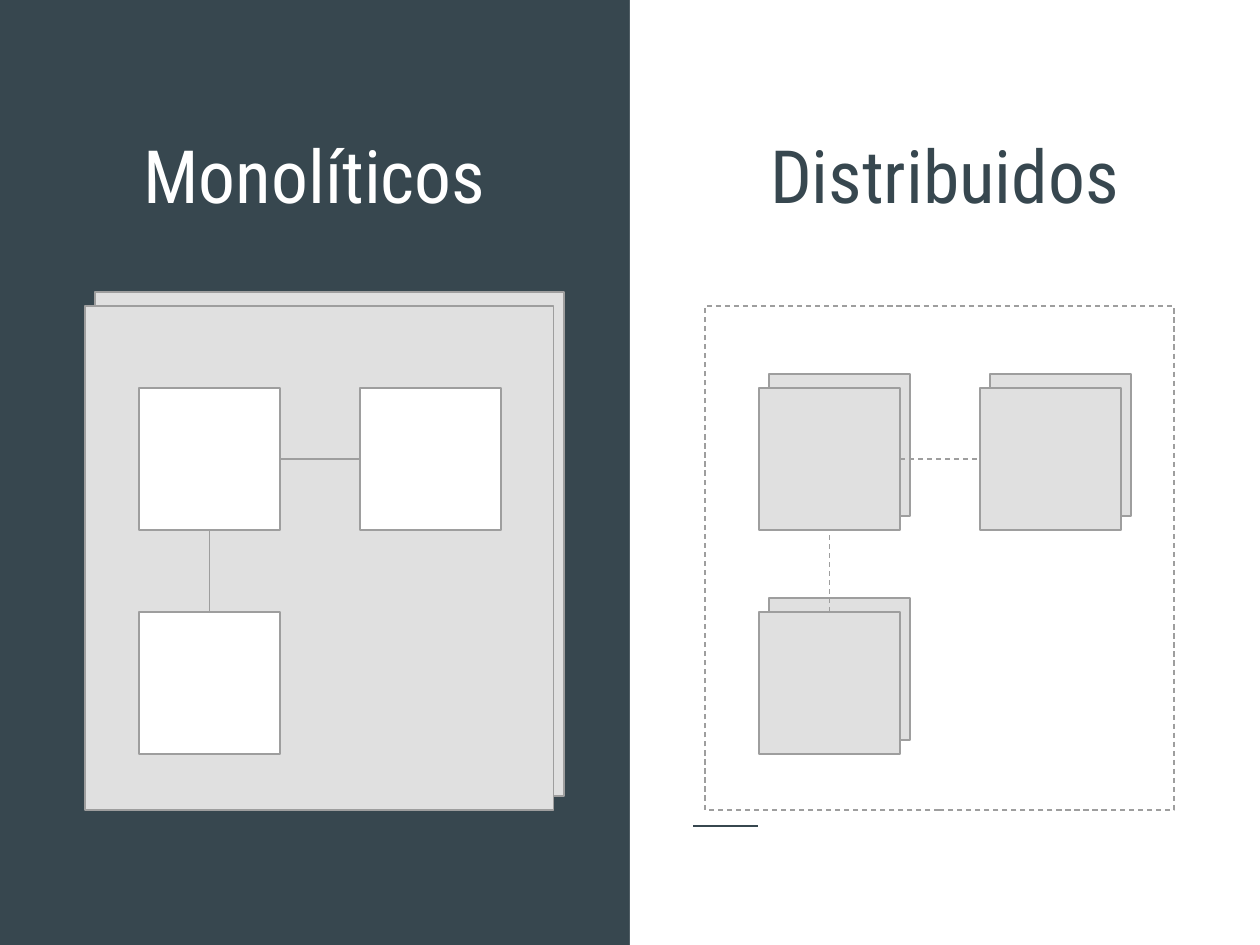
from dataclasses import dataclass

from lxml import etree
from pptx import Presentation
from pptx.dml.color import RGBColor
from pptx.enum.dml import MSO_LINE
from pptx.enum.shapes import MSO_CONNECTOR, MSO_SHAPE
from pptx.enum.text import MSO_ANCHOR, PP_ALIGN
from pptx.oxml.ns import qn
from pptx.util import Emu, Pt

RECT = MSO_SHAPE.RECTANGLE
LINE = MSO_CONNECTOR.STRAIGHT
DASH = MSO_LINE.DASH
TOP, LEFT, BOTTOM, RIGHT = range(4)


@dataclass(frozen=True)
class Theme:
    dark: RGBColor = RGBColor.from_string("37474F")
    white: RGBColor = RGBColor.from_string("FFFFFF")
    pale: RGBColor = RGBColor.from_string("E0E0E0")
    edge: RGBColor = RGBColor.from_string("9E9E9E")
    font: str = "Roboto Condensed"
    size: Pt = Pt(42)
    thin: Pt = Pt(0.75)
    thick: Pt = Pt(1.5)


theme = Theme()
SCALE = 914400 / 126  # EMU in one px


def emu(*px):
    return [Emu(round(n * SCALE)) for n in px]


def add_box(x, y, w, h, fill=None, dash=None):
    """Add a thinly outlined rectangle, hollow when no fill is given."""
    box = shapes.add_shape(RECT, *emu(x, y, w, h))
    box.shadow.inherit = False
    if fill is None:
        box.fill.background()
    else:
        box.fill.solid()
        box.fill.fore_color.rgb = fill
    box.line.color.rgb = theme.edge
    box.line.width = theme.thin
    box.line.dash_style = dash
    return box


deck = Presentation()
deck.slide_width, deck.slide_height = emu(1260, 945)
slide = deck.slides.add_slide(deck.slide_layouts.get_by_name("Comparison"))
shapes = slide.shapes
slide.background.fill.solid()
slide.background.fill.fore_color.rgb = theme.dark

# White right half, behind the headings
half = add_box(630, 0, 630, 945, theme.white)
half.line.fill.background()
shapes._spTree.insert(2, half._element)

# Headings
heads = {0: ("Monolíticos", 36, theme.white),
         1: ("Distribuidos", 666, theme.dark)}
for hold in list(slide.placeholders):
    key = hold.placeholder_format.idx
    if key not in heads:
        hold._element.getparent().remove(hold._element)
        continue
    text, x, color = heads[key]
    hold.left, hold.top, hold.width, hold.height = emu(x, 60, 557, 171)
    frame = hold.text_frame
    frame.text = text
    frame.vertical_anchor = MSO_ANCHOR.BOTTOM
    frame.margin_left, frame.margin_top = emu(13, 13)
    frame.margin_right, frame.margin_bottom = emu(13, 13)
    para = frame.paragraphs[0]
    para.alignment = PP_ALIGN.CENTER
    para.space_before = Pt(0)
    para.font.name = theme.font
    para.font.size = theme.size
    para.font.bold = False
    para.font.color.rgb = color

# Panels: the left one is doubled as a whole, the right one box by box
PANEL = 469, 504
BOX = 141, 142
SHIFT_X, SHIFT_Y = 10, -14
Y = 306
SPOTS = (54, 82), (275, 82), (54, 306)
wires = []
for x, split in ((85, False), (705, True)):
    if split:
        add_box(x, Y, *PANEL, dash=DASH)
    else:
        add_box(x + SHIFT_X, Y + SHIFT_Y, *PANEL, theme.pale)
        add_box(x, Y, *PANEL, theme.pale)
    boxes = []
    for dx, dy in SPOTS:
        if split:
            add_box(x + dx + SHIFT_X, Y + dy + SHIFT_Y, *BOX, theme.pale)
        fill = theme.pale if split else theme.white
        boxes.append(add_box(x + dx, Y + dy, *BOX, fill))
    first, right, below = boxes
    dash = DASH if split else None
    wires.append((first, RIGHT, right, LEFT, dash))
    wires.append((below, TOP, first, BOTTOM, dash))

# Links between boxes, and the short accent line
links = []
for start, out, end, into, dash in wires:
    link = shapes.add_connector(LINE, 0, 0, 0, 0)
    link.begin_connect(start, out)
    link.end_connect(end, into)
    link.line.dash_style = dash
    links.append((link, theme.edge, theme.thin))
accent = shapes.add_connector(LINE, *emu(693, 826, 758, 826))
links.append((accent, theme.dark, theme.thick))
for link, color, width in links:
    link.line.color.rgb = color
    link.line.width = width
    etree.SubElement(link._element.spPr, qn("a:effectLst"))

deck.save("out.pptx")
